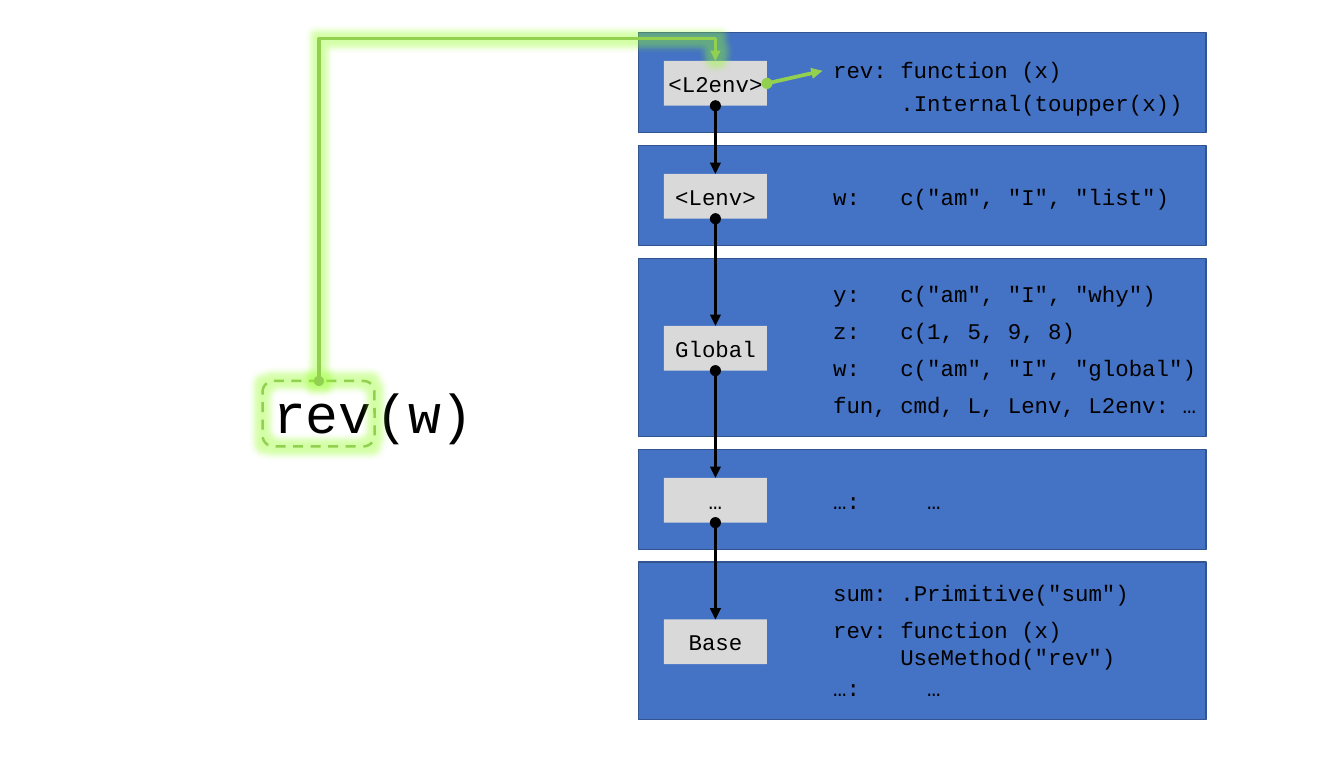
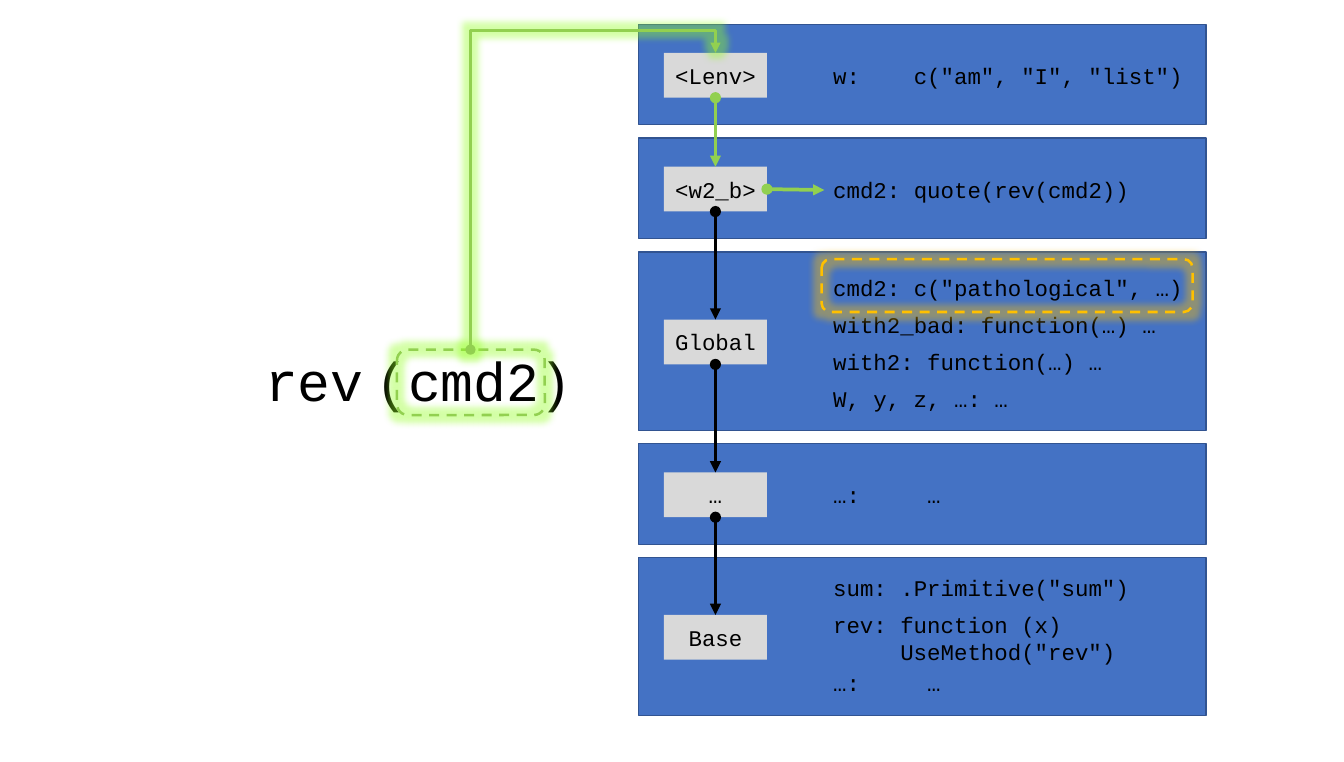
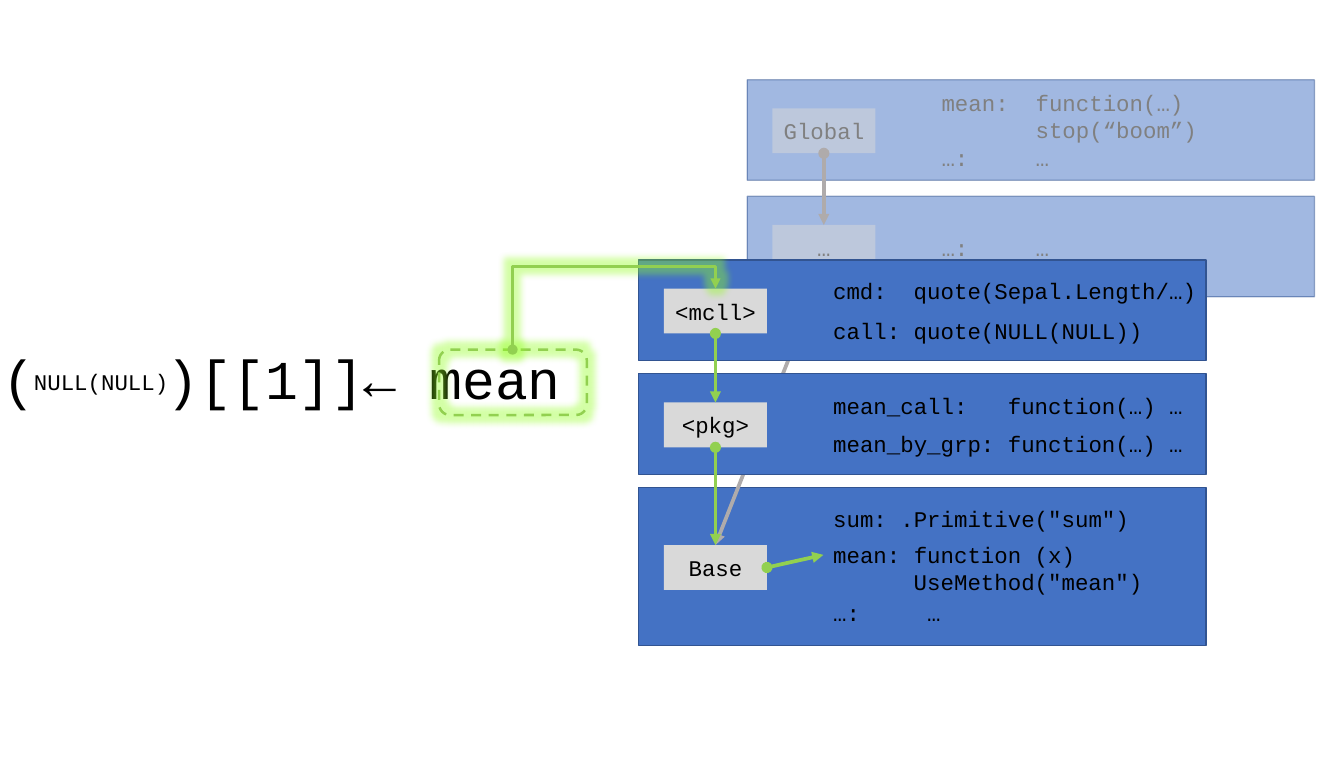
from lxml.etree import SubElement
from pptx import Presentation
from pptx.dml.color import RGBColor
from pptx.enum.dml import MSO_LINE
from pptx.enum.shapes import MSO_CONNECTOR, MSO_SHAPE
from pptx.enum.text import PP_ALIGN
from pptx.oxml.ns import qn
from pptx.util import Inches, Pt

FONT = "Courier New"
HUE = {
    "panel": "4472C4", "edge": "325491", "node": "D9D9D9", "text": "000000",
    "faint": "808080", "link": "000000", "old": "AFABAB",
    "hit": "92D050", "warn": "FFC000",
}
WIDE, TALL = 1.15, 0.5
SPAN = 6.33
LEFT = 7.13

REST = ("…", 1.12, [(0.37, "…:\t…", 7)])
BASE = ("Base", 1.76, [
    (0.14, 'sum: .Primitive("sum")', 0),
    (0.55, "rev: function (x)", 0),
    (0.85, '\tUseMethod("rev")', 5),
    (1.20, "…:\t…", 7),
])

SLIDES = [
    {
        "stacks": [(LEFT, 0.36, 0.14, False, [
            ("<L2env>", 1.12, [
                (0.22, "rev: function (x)", 0),
                (0.58, "\t.Internal(toupper(x))", 5),
            ]),
            ("<Lenv>", 1.12, [(0.37, 'w:\tc("am", "I", "list")', 5)]),
            ("Global", 1.99, [
                (0.19, 'y:\tc("am", "I", "why")', 5),
                (0.61, "z:\tc(1, 5, 9, 8)", 5),
                (1.02, 'w:\tc("am", "I", "global")', 5),
                (1.43, "fun, cmd, L, Lenv, L2env: …", 0),
            ]),
            REST,
            BASE,
        ])],
        "links": [
            ("<L2env>", "<Lenv>", "link"), ("<Lenv>", "Global", "link"),
            ("Global", "…", "link"), ("…", "Base", "link"),
        ],
        "found": ("<L2env>", 9.18, 0.79),
        "call": [(2.95, 4.18, "rev", 44, 0), (4.09, 4.17, "(w)", 44, 0)],
        "rings": [(2.93, 4.25, 1.25, 0.73, "hit")],
        "start": (3.56, 4.25, "<L2env>"),
    },
    {
        "stacks": [(LEFT, 0.27, 0.15, False, [
            ("<Lenv>", 1.12, [(0.37, 'w:\tc("am", "I", "list")', 6)]),
            ("<w2_b>", 1.12, [(0.37, "cmd2: quote(rev(cmd2))", 0)]),
            ("Global", 1.99, [
                (0.20, 'cmd2: c("pathological", …)', 0),
                (0.61, "with2_bad: function(…) …", 0),
                (1.02, "with2: function(…) …", 0),
                (1.44, "W, y, z, …: …", 0),
            ]),
            REST,
            BASE,
        ])],
        "links": [
            ("<Lenv>", "<w2_b>", "hit"), ("<w2_b>", "Global", "link"),
            ("Global", "…", "link"), ("…", "Base", "link"),
        ],
        "found": ("<w2_b>", 9.2, 2.12),
        "call": [(4.09, 3.82, "(cmd2)", 44, 0), (2.86, 3.82, "rev", 44, 0)],
        "rings": [(4.43, 3.9, 1.65, 0.73, "hit"), (9.17, 2.89, 4.14, 0.59, "warn")],
        "start": (5.25, 3.9, "<Lenv>"),
    },
    {
        "stacks": [
            (8.34, 0.89, 0.18, True, [
                ("Global", 1.12, [
                    (0.06, "mean:\tfunction(…)\n\tstop(“boom”)", 7),
                    (0.67, "…:\t…", 7),
                ]),
                REST,
            ]),
            (LEFT, 2.9, 0.15, False, [
                ("<mcll>", 1.12, [
                    (0.14, "cmd:\tquote(Sepal.Length/…)", 6),
                    (0.59, "call: quote(NULL(NULL))", 0),
                ]),
                ("<pkg>", 1.12, [
                    (0.15, "mean_call:\tfunction(…) …", 13),
                    (0.58, "mean_by_grp: function(…) …", 0),
                ]),
                ("Base", 1.76, [
                    (0.14, 'sum: .Primitive("sum")', 0),
                    (0.55, "mean: function (x)", 0),
                    (0.85, '\tUseMethod("mean")', 6),
                    (1.19, "…:\t…", 7),
                ]),
            ]),
        ],
        "links": [
            ("Global", "…", "old"), ("…", "Base", "old"),
            ("<mcll>", "<pkg>", "hit"), ("<pkg>", "Base", "hit"),
        ],
        "found": ("Base", 9.19, 6.19),
        "call": [
            (3.96, 3.8, "← mean", 44, 0),
            (-0.07, 3.8, "(\t)[[1]]", 44, 5),
            (0.28, 4.06, "NULL(NULL)", 18, 0),
        ],
        "rings": [(4.9, 3.9, 1.65, 0.73, "hit")],
        "start": (5.72, 3.9, "<mcll>"),
    },
]


def tint(fill, hue, fade=False):
    fill.solid()
    fill.fore_color.rgb = RGBColor.from_string(HUE[hue])
    if fade:
        color = fill._xPr.find(qn("a:solidFill"))[0]
        SubElement(color, qn("a:alpha"), val="50000")


def glow(effects, hue):
    halo = SubElement(effects, qn("a:glow"), rad=str(Pt(11)))
    color = SubElement(halo, qn("a:srgbClr"), val=HUE[hue])
    SubElement(color, qn("a:satMod"), val="175000")
    SubElement(color, qn("a:alpha"), val="40000")


def write(frame, text, size=18, hue="text", align=PP_ALIGN.LEFT, tab=0):
    for i, line in enumerate(text.split("\n")):
        para = frame.add_paragraph() if i else frame.paragraphs[0]
        para.alignment = align
        run = para.add_run()
        run.text = line
        run.font.size = Pt(size)
        run.font.name = FONT
        run.font.color.rgb = RGBColor.from_string(HUE[hue])
        if tab:
            stops = SubElement(para._p.get_or_add_pPr(), qn("a:tabLst"))
            SubElement(stops, qn("a:tab"), pos=str(Pt(tab * size * 0.6)), algn="l")


def label(slide, x, y, text, size=18, tab=0, hue="text"):
    lines = text.split("\n")
    count = max(tab + len(s.split("\t")[-1]) for s in lines)
    wide = 0.22 + count * size * 0.6 / 72
    tall = 0.1 + len(lines) * size * 1.2 / 72
    box = slide.shapes.add_textbox(Inches(x), Inches(y), Inches(wide), Inches(tall))
    box.text_frame.word_wrap = False
    write(box.text_frame, text, size=size, hue=hue, tab=tab)


def block(slide, kind, x, y, w, h):
    shape = slide.shapes.add_shape(kind, Inches(x), Inches(y), Inches(w), Inches(h))
    shape.shadow.inherit = False
    return shape


def panel(slide, x, y, name, tall, rows, fade):
    back = block(slide, MSO_SHAPE.ROUNDED_RECTANGLE, x, y, SPAN, tall)
    back.adjustments[0] = 0
    tint(back.fill, "panel", fade)
    tint(back.line.fill, "edge", fade)
    back.line.width = Pt(1)
    hue = "faint" if fade else "text"
    node = block(slide, MSO_SHAPE.RECTANGLE, x + 0.28, y + (tall - TALL) / 2 + 0.01, WIDE, TALL)
    tint(node.fill, "node", fade)
    node.line.fill.background()
    frame = node.text_frame
    frame.margin_left = frame.margin_right = Inches(0.05)
    write(frame, name, hue=hue, align=PP_ALIGN.CENTER)
    for drop, text, tab in rows:
        label(slide, x + 2.07, y + drop, text, tab=tab, hue=hue)
    return node


def arrow(slide, hue, kind=MSO_CONNECTOR.STRAIGHT, width=3, end=(0, 0)):
    x, y = Inches(end[0]), Inches(end[1])
    wire = slide.shapes.add_connector(kind, x, y, x, y)
    tint(wire.line.fill, hue)
    wire.line.width = Pt(width)
    ln = wire.line._get_or_add_ln()
    SubElement(ln, qn("a:headEnd"), type="oval")
    SubElement(ln, qn("a:tailEnd"), type="triangle")
    return wire, SubElement(wire._element.spPr, qn("a:effectLst"))


def join(slide, top, low, hue):
    wire, _ = arrow(slide, hue)
    wire.begin_connect(top, 2)
    wire.end_connect(low, 0)


def climb(slide, x, y, node):
    wire, effects = arrow(slide, "hit", MSO_CONNECTOR.ELBOW, 2.75)
    x, y = Inches(x), Inches(y)
    goal = node.left + node.width // 2
    rise, run = y - node.top, goal - x
    wire.left = (x + goal - rise) // 2
    wire.top = (y + node.top - run) // 2
    wire.width, wire.height = rise, run
    props = wire._element.spPr
    for key, val in (("rot", "5400000"), ("flipH", "1"), ("flipV", "1")):
        props.find(qn("a:xfrm")).set(key, val)
    bend = round(100000 * (1 + Inches(0.25) / rise))
    guides = props.find(qn("a:prstGeom")).find(qn("a:avLst"))
    SubElement(guides, qn("a:gd"), name="adj1", fmla=f"val {bend}")
    glow(effects, "hit")


def ring(slide, x, y, w, h, hue):
    shape = block(slide, MSO_SHAPE.ROUNDED_RECTANGLE, x, y, w, h)
    shape.fill.background()
    tint(shape.line.fill, hue)
    shape.line.width = Pt(2)
    shape.line.dash_style = MSO_LINE.DASH
    glow(shape._element.spPr.find(qn("a:effectLst")), hue)


def stack(slide, nodes, links, x, y, gap, fade, panels):
    spots = []
    for item in panels:
        spots.append((y, item))
        y += item[1] + gap
    for y, (name, tall, rows) in reversed(spots):
        nodes[name] = panel(slide, x, y, name, tall, rows, fade)
        for top, low, hue in links:
            if name in (top, low) and top in nodes and low in nodes:
                join(slide, nodes[top], nodes[low], hue)


def build(slide, data):
    nodes = {}
    for item in data["stacks"]:
        stack(slide, nodes, data["links"], *item)
    name, x, y = data["found"]
    wire, _ = arrow(slide, "hit", end=(x, y))
    wire.begin_connect(nodes[name], 3)
    for item in data["call"]:
        label(slide, *item)
    for item in data["rings"]:
        ring(slide, *item)
    x, y, name = data["start"]
    climb(slide, x, y, nodes[name])


def main():
    deck = Presentation()
    deck.slide_width, deck.slide_height = Inches(15), Inches(8.5)
    for data in SLIDES:
        build(deck.slides.add_slide(deck.slide_layouts[6]), data)
    deck.save("out.pptx")


if __name__ == "__main__":
    main()
